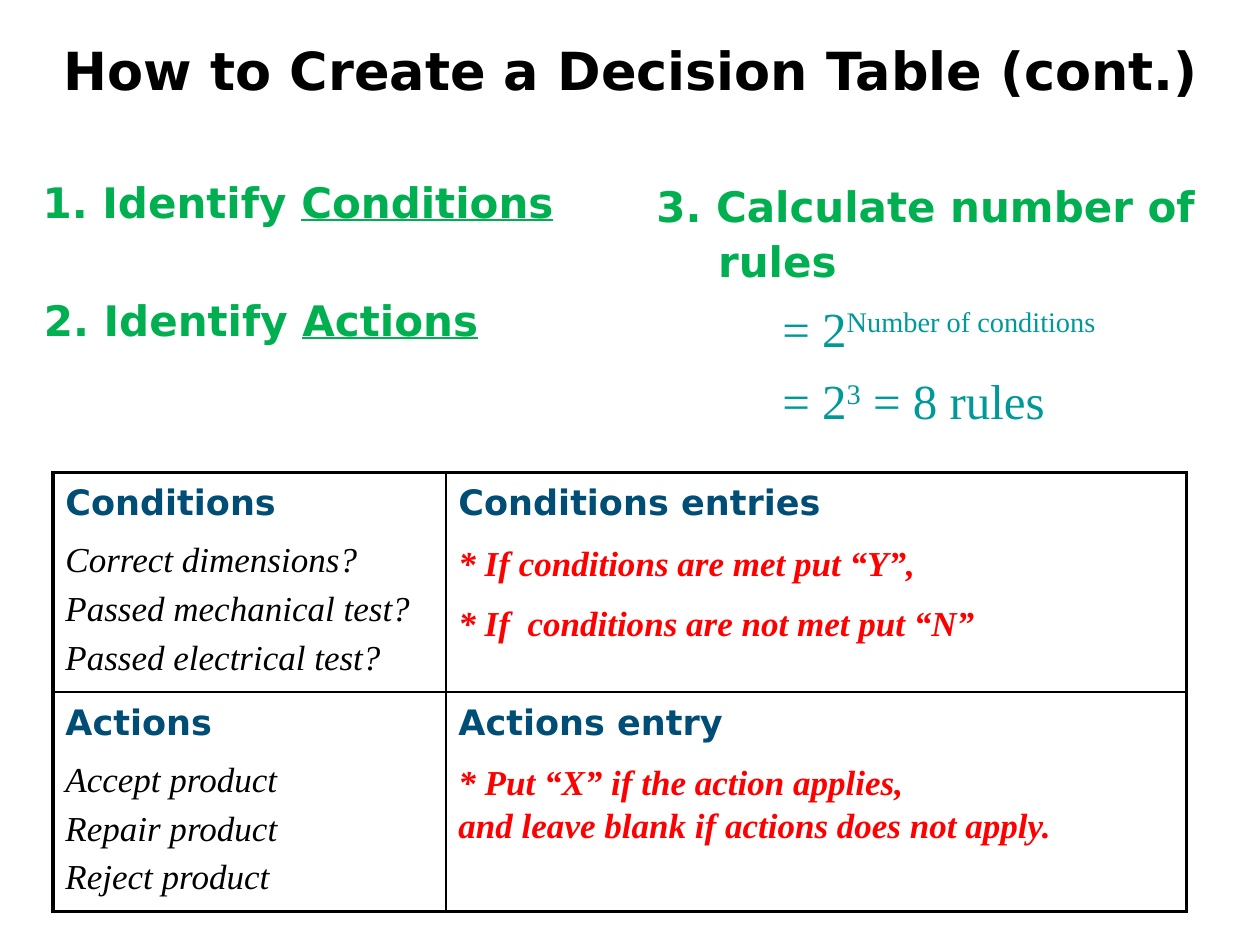
from lxml.etree import SubElement
from pptx import Presentation
from pptx.dml.color import RGBColor
from pptx.enum.text import MSO_AUTO_SIZE, PP_ALIGN
from pptx.oxml.ns import qn
from pptx.util import Pt

SANS, SERIF = "DejaVu Sans", "Times New Roman"
BLACK, GREEN, TEAL, NAVY, RED = "000000", "00B050", "009999", "004D75", "FF0000"
THICK, THIN = 2.25, 1


def color(hex_value):
    return RGBColor.from_string(hex_value)


def style(paragraph, font_name, size, hex_value, bold=False, italic=False):
    font = paragraph.font
    font.name, font.size = font_name, Pt(size)
    font.bold, font.italic = bold, italic
    font.color.rgb = color(hex_value)


def space(paragraph, line, before=0, after=0):
    paragraph.line_spacing = line
    paragraph.space_before, paragraph.space_after = Pt(before), Pt(after)


def add_text_box(slide, box, wrap=True):
    frame = slide.shapes.add_textbox(*map(Pt, box)).text_frame
    frame.word_wrap = wrap
    frame.auto_size = MSO_AUTO_SIZE.SHAPE_TO_FIT_TEXT
    return frame


def add_title(slide, box, text):
    paragraph = add_text_box(slide, box, wrap=False).paragraphs[0]
    paragraph.text = text
    paragraph.alignment = PP_ALIGN.CENTER
    style(paragraph, SANS, 30, BLACK, bold=True)


def add_step(slide, box, text, underlined="", hanging=0):
    paragraph = add_text_box(slide, box).paragraphs[0]
    paragraph.add_run().text = text
    if underlined:
        run = paragraph.add_run()
        run.text = underlined
        run.font.underline = True
    if hanging:
        properties = paragraph._p.get_or_add_pPr()
        properties.set("marL", str(Pt(hanging)))
        properties.set("indent", str(-Pt(hanging)))
    space(paragraph, 1.1, after=4.8)
    style(paragraph, SANS, 24, GREEN, bold=True)


def add_formula(slide, box, lines):
    """Each line is (base, exponent, rest)."""
    frame = add_text_box(slide, box)
    for index, (base, exponent, rest) in enumerate(lines):
        paragraph = frame.add_paragraph() if index else frame.paragraphs[0]
        paragraph.add_run().text = base
        raised = paragraph.add_run()
        raised.text = exponent
        raised.font._element.set("baseline", "30000")
        if rest:
            paragraph.add_run().text = rest
        space(paragraph, 0.8, before=14 if index else 0)
        style(paragraph, SERIF, 28, TEAL)


def set_borders(cell, widths):
    properties = cell._tc.get_or_add_tcPr()
    for side, width in widths.items():
        line = SubElement(properties, qn(f"a:ln{side}"), w=str(Pt(width)))
        fill = SubElement(line, qn("a:solidFill"))
        SubElement(fill, qn("a:srgbClr"), val=BLACK)


def fill_cell(cell, heading, items, is_entry):
    frame = cell.text_frame
    frame.text = heading
    space(frame.paragraphs[0], 1.1, after=4)
    style(frame.paragraphs[0], SANS, 20, NAVY, bold=True)
    for item in items:
        paragraph = frame.add_paragraph()
        paragraph.text = item
        if is_entry:
            space(paragraph, 1.1, before=6, after=4)
            style(paragraph, SERIF, 20, RED, bold=True, italic=True)
        else:
            space(paragraph, 0.8, before=10)
            style(paragraph, SERIF, 20, BLACK, italic=True)


def add_decision_table(slide, box, column_widths, rows):
    row_count, column_count = len(rows), len(column_widths)
    table = slide.shapes.add_table(row_count, column_count, *map(Pt, box)).table
    table.first_row = table.horz_banding = False
    for column, width in zip(table.columns, column_widths):
        column.width = Pt(width)
    for r, row in enumerate(rows):
        table.rows[r].height = Pt(box[3] / row_count)
        for c, (heading, items) in enumerate(row):
            cell = table.cell(r, c)
            fill_cell(cell, heading, items, is_entry=c > 0)
            # Thick outer frame, thin inner rules
            set_borders(cell, {
                "L": THICK if c == 0 else THIN,
                "R": THICK if c == column_count - 1 else THIN,
                "T": THICK if r == 0 else THIN,
                "B": THICK if r == row_count - 1 else THIN,
            })
            cell.fill.background()


def main():
    presentation = Presentation()
    presentation.slide_width, presentation.slide_height = Pt(720), Pt(540)
    slide = presentation.slides.add_slide(presentation.slide_layouts[6])

    add_title(slide, (24.5, 18, 672.5, 44), "How to Create a Decision Table (cont.)")

    # Steps
    add_step(slide, (17.3, 94.3, 341, 36), "1. Identify ", "Conditions")
    add_step(slide, (18, 162, 335, 36), "2. Identify ", "Actions")
    add_step(slide, (368, 96.5, 341, 70.5), "3. Calculate number of rules", hanging=35.3)
    add_formula(slide, (440, 173.5, 269, 78.5), [
        ("= 2", "Number of conditions", ""),
        ("= 2", "3", " = 8 rules"),
    ])

    # Decision table
    add_decision_table(slide, (30.2, 270, 648, 251), (224.6, 423.4), [
        [("Conditions", ["Correct dimensions?", "Passed mechanical test?",
                         "Passed electrical test?"]),
         ("Conditions entries", ["* If conditions are met put “Y”,",
                                 "* If  conditions are not met put “N”"])],
        [("Actions", ["Accept product", "Repair product", "Reject product"]),
         ("Actions entry", ["* Put “X” if the action applies, \v"
                            "and leave blank if actions does not apply."])],
    ])

    presentation.save("out.pptx")


if __name__ == "__main__":
    main()
